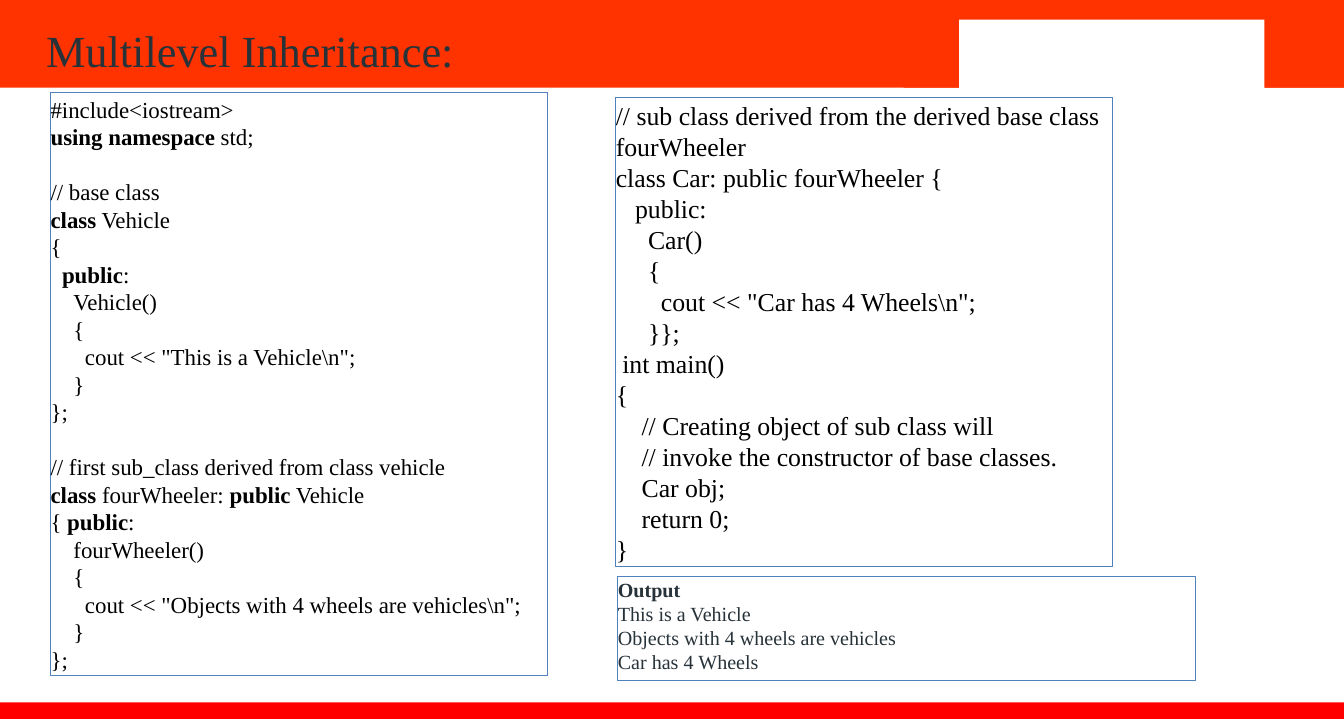
from dataclasses import dataclass

from pptx import Presentation
from pptx.dml.color import RGBColor
from pptx.enum.shapes import MSO_SHAPE as Shape
from pptx.enum.text import MSO_ANCHOR as Anchor, PP_ALIGN as Align
from pptx.util import Pt

ORANGE = RGBColor(0xFF, 0x33, 0x00)
RED = RGBColor(0xFF, 0x00, 0x00)
WHITE = RGBColor(0xFF, 0xFF, 0xFF)
BLACK = RGBColor(0x00, 0x00, 0x00)
SLATE = RGBColor(0x27, 0x32, 0x39)
BLUE = RGBColor(0x4F, 0x81, 0xBD)

FONT = "Times New Roman"
WIDTH, HEIGHT = 938.16, 501.84
LEADING = 1.2
SPACE_WIDTH = 0.25


@dataclass(frozen=True)
class Box:
    left: float
    top: float
    width: float
    height: float


@dataclass(frozen=True)
class Bar:
    box: Box
    fill: RGBColor


@dataclass(frozen=True)
class Line:
    text: str
    indent: int = 0
    gap: bool = False


@dataclass(frozen=True)
class Panel:
    box: Box
    size: float
    color: RGBColor
    lines: tuple[Line, ...]
    bottom: float = 0


BARS = (
    Bar(Box(0, 0, WIDTH, 61.2), ORANGE),
    Bar(Box(0, 490.32, WIDTH, 11.52), RED),
    Bar(Box(630.72, 0, 307.44, 61.2), ORANGE),
    Bar(Box(669.6, 13.68, 213.12, 50.4), WHITE),
)

BASE_CLASSES = Panel(Box(35.28, 64.8, 347.04, 406.8), 16, BLACK, (
    Line("#include<iostream>"),
    Line("*using namespace* std;"),
    Line("// base class", gap=True),
    Line("*class* Vehicle"),
    Line("{"),
    Line("*public*:", 2),
    Line("Vehicle()", 4),
    Line("{", 4),
    Line('cout << "This is a Vehicle\\n";', 6),
    Line("}", 4),
    Line("};"),
    Line("// first sub_class derived from class vehicle", gap=True),
    Line("*class *fourWheeler: *public* Vehicle"),
    Line("{ *public*:"),
    Line("fourWheeler()", 4),
    Line("{", 4),
    Line('cout << "Objects with 4 wheels are vehicles\\n";', 6),
    Line("}", 4),
    Line("};"),
))

OUTPUT = Panel(Box(431.28, 402.48, 403.2, 72.72), 14, SLATE, (
    Line("*Output*"),
    Line("This is a Vehicle"),
    Line("Objects with 4 wheels are vehicles"),
    Line("Car has 4 Wheels"),
), bottom=5)

DERIVED_CLASS = Panel(Box(429.84, 68.4, 347.04, 326.88), 18, BLACK, (
    Line("// sub class derived from the derived base class fourWheeler"),
    Line("class Car: public fourWheeler {"),
    Line("public:", 3),
    Line("Car()", 5),
    Line("{", 5),
    Line('cout << "Car has 4 Wheels\\n";', 7),
    Line("}};", 5),
    Line("int main()", 1),
    Line("{"),
    Line("// Creating object of sub class will", 4),
    Line("// invoke the constructor of base classes.", 4),
    Line("Car obj;", 4),
    Line("return 0;", 4),
    Line("}"),
))


def frame(box: Box) -> tuple[Pt, ...]:
    return Pt(box.left), Pt(box.top), Pt(box.width), Pt(box.height)


def add_rect(s, box: Box, fill: RGBColor, line: RGBColor | None = None):
    sp = s.shapes.add_shape(Shape.RECTANGLE, *frame(box))
    sp.shadow.inherit = False
    sp.fill.solid()
    sp.fill.fore_color.rgb = fill
    if line is None:
        sp.line.fill.background()
    else:
        sp.line.color.rgb = line
        sp.line.width = Pt(0.75)
    return sp


def set_margins(tf, left: float, top: float, right: float, bottom: float) -> None:
    tf.margin_left, tf.margin_top = Pt(left), Pt(top)
    tf.margin_right, tf.margin_bottom = Pt(right), Pt(bottom)
    tf.word_wrap = True


def write(p, text: str, *, size: float, color: RGBColor,
          indent: int = 0, gap: bool = False) -> None:
    p.alignment = Align.LEFT
    p.line_spacing = Pt(size * LEADING)
    if gap:
        p.space_before = Pt(size * LEADING)
    if indent:
        p._p.get_or_add_pPr().set("marL", str(Pt(indent * size * SPACE_WIDTH)))
    for i, part in enumerate(text.split("*")):
        if part:
            r = p.add_run()
            r.text = part
            r.font.name = FONT
            r.font.size = Pt(size)
            r.font.bold = i % 2 == 1
            r.font.color.rgb = color


def add_panel(s, panel: Panel) -> None:
    tf = add_rect(s, panel.box, WHITE, BLUE).text_frame
    set_margins(tf, 0, 0, 0, panel.bottom)
    tf.vertical_anchor = Anchor.MIDDLE
    for i, line in enumerate(panel.lines):
        p = tf.add_paragraph() if i else tf.paragraphs[0]
        write(p, line.text, size=panel.size, color=panel.color,
              indent=line.indent, gap=line.gap)


def add_title(s, text: str) -> None:
    tf = s.shapes.add_textbox(*frame(Box(17.28, 12.24, 560.16, 44.64))).text_frame
    set_margins(tf, 7.2, 3.6, 7.2, 3.6)
    write(tf.paragraphs[0], text, size=31, color=SLATE, indent=1)


def main() -> None:
    prs = Presentation()
    prs.slide_width, prs.slide_height = Pt(WIDTH), Pt(HEIGHT)
    s = prs.slides.add_slide(prs.slide_layouts[6])
    for bar in BARS:
        add_rect(s, bar.box, bar.fill)
    add_title(s, "Multilevel Inheritance:")
    for panel in (BASE_CLASSES, OUTPUT, DERIVED_CLASS):
        add_panel(s, panel)
    prs.save("out.pptx")


if __name__ == "__main__":
    main()
